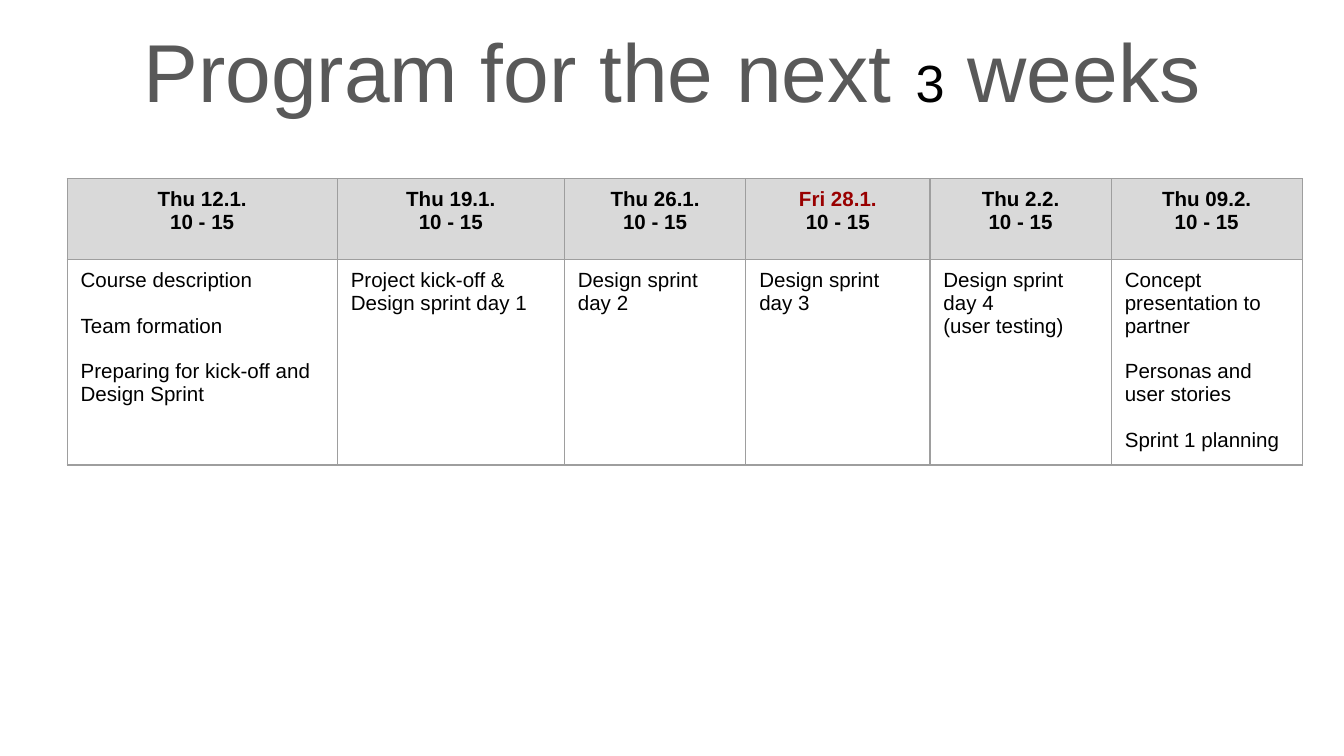
from lxml import etree
from pptx import Presentation
from pptx.dml.color import RGBColor
from pptx.enum.text import MSO_ANCHOR, MSO_AUTO_SIZE, PP_ALIGN
from pptx.oxml.ns import qn
from pptx.util import Inches, Pt

CENTER = PP_ALIGN.CENTER
LEFT = PP_ALIGN.LEFT
MIDDLE = MSO_ANCHOR.MIDDLE
NO_AUTOFIT = MSO_AUTO_SIZE.NONE

BLACK = RGBColor(0x00, 0x00, 0x00)
TITLE_GRAY = RGBColor(0x59, 0x59, 0x59)
HEADER_GRAY = RGBColor(0xD9, 0xD9, 0xD9)
BORDER_GRAY = RGBColor(0x9E, 0x9E, 0x9E)
DARK_RED = RGBColor(0x99, 0x00, 0x00)

FONT = "Arial"
HOURS = "10 - 15"
TEXT_SIZE = 11
TOPIC_GAP = 12.3
SLIDE_WIDTH = 10
ROW_HEIGHTS = [0.6, 0.46, 0.46, 0.61]

SESSIONS = [
    (2.01, "Thu 12.1.", BLACK, [["Course description"], ["Team formation"],
                                ["Preparing for kick-off and Design Sprint"]]),
    (1.69, "Thu 19.1.", BLACK, [["Project kick-off & Design sprint day 1"]]),
    (1.35, "Thu 26.1.", BLACK, [["Design sprint day 2"]]),
    (1.37, "Fri 28.1.", DARK_RED, [["Design sprint day 3"]]),
    (1.35, "Thu 2.2.", BLACK, [["Design sprint day 4", "(user testing)"]]),
    (1.42, "Thu 09.2.", BLACK, [["Concept presentation to partner"],
                                ["Personas and user stories"],
                                ["Sprint 1 planning"]]),
]


def add_text(paragraph, text, size=TEXT_SIZE, color=BLACK, bold=False, align=LEFT):
    paragraph.alignment = align
    run = paragraph.add_run()
    run.text = text
    run.font.name = FONT
    run.font.size = Pt(size)
    run.font.bold = bold
    run.font.color.rgb = color


def add_title(slide):
    title = slide.shapes.title
    title.left, title.top = Inches(0.5), Inches(0.17)
    title.width, title.height = Inches(9), Inches(0.7)
    frame = title.text_frame
    frame.auto_size = NO_AUTOFIT
    frame.word_wrap = True
    frame.vertical_anchor = MIDDLE
    paragraph = frame.paragraphs[0]
    add_text(paragraph, "Program for the next ", size=44, color=TITLE_GRAY, align=CENTER)
    add_text(paragraph, "3", size=28, align=CENTER)
    add_text(paragraph, " weeks", size=44, color=TITLE_GRAY, align=CENTER)


def set_borders(cell):
    properties = cell._tc.get_or_add_tcPr()
    for side in ("a:lnL", "a:lnR", "a:lnT", "a:lnB"):
        line = etree.SubElement(properties, qn(side), w=str(Pt(0.75)))
        fill = etree.SubElement(line, qn("a:solidFill"))
        etree.SubElement(fill, qn("a:srgbClr"), val=str(BORDER_GRAY))


def format_cell(cell, color=None):
    cell.margin_left = cell.margin_right = Inches(0.1)
    cell.margin_top = cell.margin_bottom = Inches(0.07)
    set_borders(cell)
    if color is None:
        cell.fill.background()
    else:
        cell.fill.solid()
        cell.fill.fore_color.rgb = color


def fill_header(cell, date, color):
    paragraph = cell.text_frame.paragraphs[0]
    add_text(paragraph, date, color=color, bold=True, align=CENTER)
    paragraph.add_line_break()
    add_text(paragraph, HOURS, bold=True, align=CENTER)


def fill_topics(cell, topics):
    frame = cell.text_frame
    for topic_index, topic in enumerate(topics):
        for line_index, text in enumerate(topic):
            first = topic_index == line_index == 0
            paragraph = frame.paragraphs[0] if first else frame.add_paragraph()
            if topic_index and not line_index:
                paragraph.space_before = Pt(TOPIC_GAP)
            add_text(paragraph, text)


def add_program(slide):
    table_width = sum(session[0] for session in SESSIONS)
    table = slide.shapes.add_table(
        len(ROW_HEIGHTS), len(SESSIONS), Inches(0.5), Inches(1.33),
        Inches(table_width), Inches(sum(ROW_HEIGHTS))).table
    table.first_row = False
    table.horz_banding = False
    for row, height in zip(table.rows, ROW_HEIGHTS):
        row.height = Inches(height)
    last_row = len(ROW_HEIGHTS) - 1
    for column, (width, date, color, topics) in enumerate(SESSIONS):
        table.columns[column].width = Inches(width)
        for row in range(len(ROW_HEIGHTS)):
            format_cell(table.cell(row, column), None if row else HEADER_GRAY)
        table.cell(1, column).merge(table.cell(last_row, column))
        fill_header(table.cell(0, column), date, color)
        fill_topics(table.cell(1, column), topics)


def main():
    presentation = Presentation()
    presentation.slide_width = Inches(SLIDE_WIDTH)
    presentation.slide_height = Inches(SLIDE_WIDTH * 9 / 16)
    slide = presentation.slides.add_slide(presentation.slide_layouts[5])
    add_title(slide)
    add_program(slide)
    presentation.save("out.pptx")


main()
